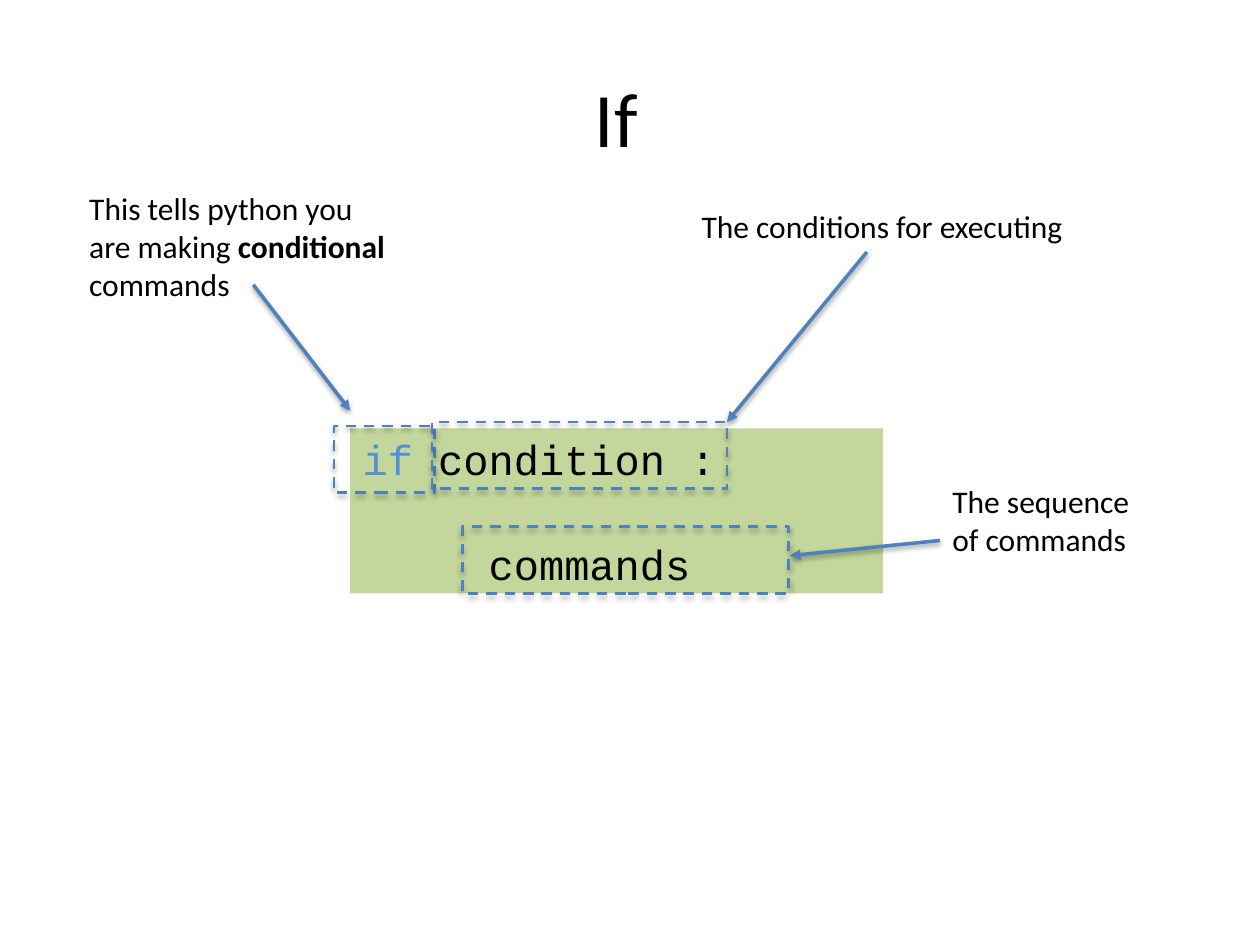
"""Build a slide that explains the parts of a Python if statement."""
from dataclasses import dataclass

from lxml import etree
from pptx import Presentation
from pptx.dml.color import RGBColor
from pptx.enum import dml, shapes, text
from pptx.oxml import ns
from pptx.util import Inches, Pt


@dataclass(frozen=True)
class Theme:
    """Colours, fonts and sizes used on the slide."""
    ink: str = "000000"
    accent: str = "4F81BD"
    keyword: str = "558ED5"
    panel: str = "C3D69B"
    body_font: str = "Calibri"
    code_font: str = "Courier New"
    title_size: int = 44
    code_size: int = 24
    note_size: int = 18


THEME = Theme()


def add_run(paragraph, wording, size, font=THEME.body_font, color=THEME.ink, bold=False):
    """Append one formatted run to a paragraph."""
    run = paragraph.add_run()
    run.text = wording
    run.font.name = font
    run.font.size = Pt(size)
    run.font.bold = bold
    run.font.color.rgb = RGBColor.from_string(color)


def add_shadow(element, distance, opacity):
    """Give a shape or connector a soft shadow that falls downwards."""
    properties = element.spPr
    effects = properties.find(ns.qn("a:effectLst"))
    if effects is None:
        effects = etree.SubElement(properties, ns.qn("a:effectLst"))
    shadow = etree.SubElement(effects, ns.qn("a:outerShdw"), blurRad=str(Pt(3.1)),
                              dist=str(Pt(distance)), dir="5400000", rotWithShape="0")
    black = etree.SubElement(shadow, ns.qn("a:srgbClr"), val=THEME.ink)
    etree.SubElement(black, ns.qn("a:alpha"), val=str(opacity * 1000))


def set_title(slide, wording):
    """Place and fill the title placeholder."""
    title = slide.shapes.title
    title.left, title.top, title.width, title.height = map(Inches, (0.39, 0.3, 9, 1.25))
    title.text_frame.vertical_anchor = text.MSO_ANCHOR.MIDDLE
    heading = title.text_frame.paragraphs[0]
    heading.alignment = text.PP_ALIGN.CENTER
    add_run(heading, wording, THEME.title_size)


def add_rectangle(slide, box):
    """Add a rectangle without the default shadow."""
    rectangle = slide.shapes.add_shape(shapes.MSO_SHAPE.RECTANGLE, *map(Inches, box))
    rectangle.shadow.inherit = False
    return rectangle


def add_code_panel(slide, box):
    """Add the green panel with the if statement."""
    panel = add_rectangle(slide, box)
    panel.fill.solid()
    panel.fill.fore_color.rgb = RGBColor.from_string(THEME.panel)
    panel.line.fill.background()
    code = panel.text_frame
    code.word_wrap = True
    code.vertical_anchor = text.MSO_ANCHOR.MIDDLE
    header = code.paragraphs[0]
    add_run(header, "if ", THEME.code_size, THEME.code_font, THEME.keyword)
    add_run(header, "condition :", THEME.code_size, THEME.code_font)
    body = code.add_paragraph()
    body.space_before = Pt(31)
    body._p.get_or_add_pPr().set("marL", str(Inches(1)))
    add_run(body, "commands", THEME.code_size, THEME.code_font)
    for line in (header, body):
        line.alignment = text.PP_ALIGN.LEFT


def add_arrow(slide, start, end):
    """Add an arrow from a note to its code part."""
    arrow = slide.shapes.add_connector(shapes.MSO_CONNECTOR.STRAIGHT,
                                       *map(Inches, start + end))
    arrow.line.color.rgb = RGBColor.from_string(THEME.accent)
    arrow.line.width = Pt(2)
    etree.SubElement(arrow.line._get_or_add_ln(), ns.qn("a:tailEnd"), type="triangle")
    add_shadow(arrow._element, 1.6, 38)


def add_note(slide, box, parts):
    """Add an explanation made of (wording, bold) parts."""
    note = slide.shapes.add_textbox(*map(Inches, box)).text_frame
    note.word_wrap = True
    for wording, bold in parts:
        add_run(note.paragraphs[0], wording, THEME.note_size, bold=bold)


def add_marker(slide, box):
    """Add a dashed frame around a code part."""
    marker = add_rectangle(slide, box)
    marker.fill.background()
    marker.line.color.rgb = RGBColor.from_string(THEME.accent)
    marker.line.width = Pt(1.5)
    marker.line.dash_style = dml.MSO_LINE.DASH
    add_shadow(marker._element, 1.8, 35)


def main():
    """Build and save the slide."""
    deck = Presentation()
    deck.slide_width, deck.slide_height = Inches(10), Inches(7.5)
    slide = deck.slides.add_slide(deck.slide_layouts[5])
    set_title(slide, "If")
    add_code_panel(slide, (2.78, 3.4, 4.23, 1.31))

    callouts = (
        ((2.01, 2.26), (2.78, 3.26), (0.61, 1.45, 2.63, 1.01),
         (("This tells python you are making ", False), ("conditional", True),
          (" commands", False)), (2.65, 3.38, 0.8, 0.53)),
        ((6.88, 2), (5.77, 3.35), (5.47, 1.59, 4, 0.4),
         (("The conditions for executing", False),), (3.43, 3.35, 2.34, 0.53)),
        ((7.46, 4.29), (6.27, 4.41), (7.46, 3.78, 1.79, 0.71),
         (("The sequence of commands", False),), (3.67, 4.18, 2.59, 0.53)),
    )
    for start, end, note_box, parts, marker_box in callouts:
        add_arrow(slide, start, end)
        add_note(slide, note_box, parts)
        add_marker(slide, marker_box)
    deck.save("out.pptx")


if __name__ == "__main__":
    main()
